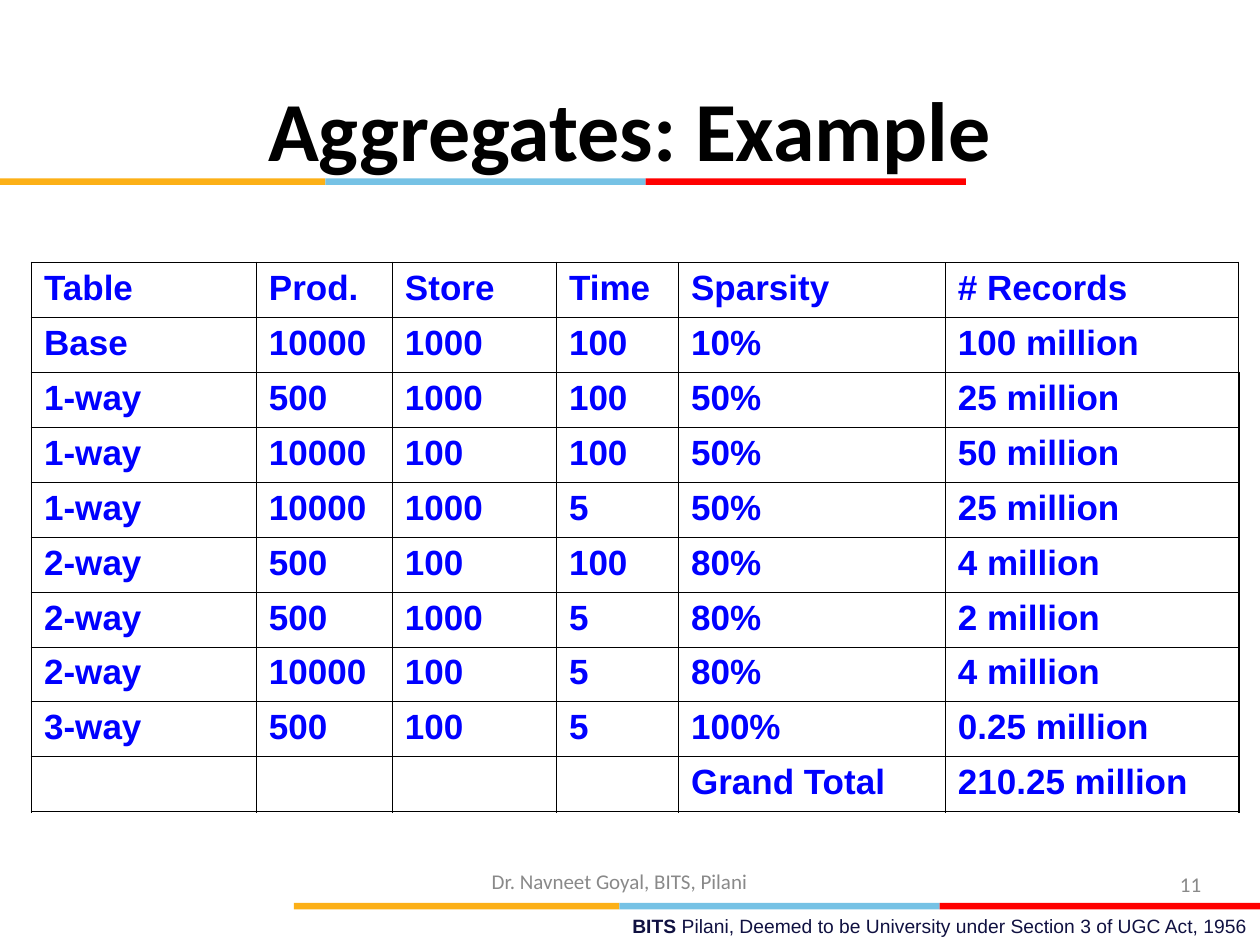
import pptx
import pptx.dml.color
import pptx.enum.shapes
import pptx.enum.text
import pptx.oxml
import pptx.oxml.ns
import pptx.util

Pt = pptx.util.Pt
ALIGN = pptx.enum.text.PP_ALIGN
ANCHOR = pptx.enum.text.MSO_ANCHOR
BLACK, BLUE, GREY, NAVY = "000000", "0000FF", "898989", "101141"
THIN, THICK = 0.45, 1.08


def tint(code):
    return pptx.dml.color.RGBColor.from_string(code)


def write(par, text, font="Arial", size=20, color=BLACK, bold=False, align=ALIGN.LEFT):
    """Add one formatted run to a paragraph."""
    par.alignment = align
    run = par.add_run()
    run.text = text
    run.font.name = font
    run.font.size = Pt(size)
    run.font.bold = bold
    run.font.color.rgb = tint(color)


class Deck:
    bands = (("FCB017", 186), ("76C2E5", 183), ("FF0000", 183))
    thick = 3.7

    def __init__(self):
        self.file = pptx.Presentation()
        self.file.slide_width, self.file.slide_height = Pt(720), Pt(540)
        self.slide = self.file.slides.add_slide(self.file.slide_layouts[6])

    def stripe(self, left, top):
        """Draw the three-colour band from left to right."""
        for color, width in self.bands:
            bar = self.slide.shapes.add_shape(
                pptx.enum.shapes.MSO_SHAPE.RECTANGLE,
                Pt(left), Pt(top), Pt(width), Pt(self.thick))
            bar.shadow.inherit = False
            bar.fill.solid()
            bar.fill.fore_color.rgb = tint(color)
            bar.line.fill.background()
            left += width

    def text(self, place, runs, anchor=ANCHOR.MIDDLE, **style):
        """Place a text box; runs are (text, bold) pairs."""
        box = self.slide.shapes.add_textbox(*map(Pt, place))
        frame = box.text_frame
        frame.word_wrap = True
        frame.vertical_anchor = anchor
        for words, bold in runs:
            write(frame.paragraphs[0], words, bold=bold, **style)

    def edge(self, cell, side, width):
        """Draw one border of a table cell."""
        line = pptx.oxml.parse_xml(
            f'<a:ln{side} {pptx.oxml.ns.nsdecls("a")} w="{int(Pt(width))}">'
            f'<a:solidFill><a:srgbClr val="{BLACK}"/></a:solidFill></a:ln{side}>')
        cell._tc.get_or_add_tcPr().append(line)

    def table(self, left, top, widths, height, rows):
        last, end = len(rows) - 1, len(widths) - 1
        grid = self.slide.shapes.add_table(
            len(rows), len(widths), Pt(left), Pt(top),
            Pt(sum(widths)), Pt(height * len(rows))).table
        grid.first_row = grid.horz_banding = False
        for col, width in zip(grid.columns, widths):
            col.width = Pt(width)
        for r, row in enumerate(rows):
            grid.rows[r].height = Pt(height)
            for c, words in enumerate(row):
                cell = grid.cell(r, c)
                outer = {"L": c == 0, "R": c == end and r > 1,
                         "T": r == 0 and c != 4, "B": r == last}
                for side, heavy in outer.items():
                    self.edge(cell, side, THICK if heavy else THIN)
                cell.fill.background()
                if words:
                    write(cell.text_frame.paragraphs[0], words, color=BLUE, bold=True)


ROWS = (
    ("Table", "Prod.", "Store", "Time", "Sparsity", "# Records"),
    ("Base", "10000", "1000", "100", "10%", "100 million"),
    ("1-way", "500", "1000", "100", "50%", "25 million"),
    ("1-way", "10000", "100", "100", "50%", "50 million"),
    ("1-way", "10000", "1000", "5", "50%", "25 million"),
    ("2-way", "500", "100", "100", "80%", "4 million"),
    ("2-way", "500", "1000", "5", "80%", "2 million"),
    ("2-way", "10000", "100", "5", "80%", "4 million"),
    ("3-way", "500", "100", "5", "100%", "0.25 million"),
    ("", "", "", "", "Grand Total", "210.25 million"),
)


def main():
    deck = Deck()

    # Footer line and colour bands
    deck.text((257.75, 519, 462.25, 21),
              (("BITS ", True),
               ("Pilani, Deemed to be University under Section 3 of UGC Act, 1956", False)),
              anchor=ANCHOR.TOP, size=11, color=NAVY, align=ALIGN.RIGHT)
    deck.stripe(168, 516)
    deck.stripe(0, 102)

    # Title
    deck.text((36, 28, 648, 90), (("Aggregates: Example", True),),
              font="Calibri", size=48, align=ALIGN.CENTER)

    # Page number and author
    small = dict(font="Calibri", size=12, color=GREY)
    deck.text((525.5, 491, 168, 28.75), (("11", False),), align=ALIGN.RIGHT, **small)
    deck.text((204, 489, 300, 28.75), (("Dr. Navneet Goyal, BITS, Pilani", False),),
              align=ALIGN.CENTER, **small)

    # Aggregate table
    deck.table(18, 150, (128.5, 77.75, 93.75, 69.75, 152.5, 167.75), 31.4, ROWS)

    deck.file.save("out.pptx")


if __name__ == "__main__":
    main()
